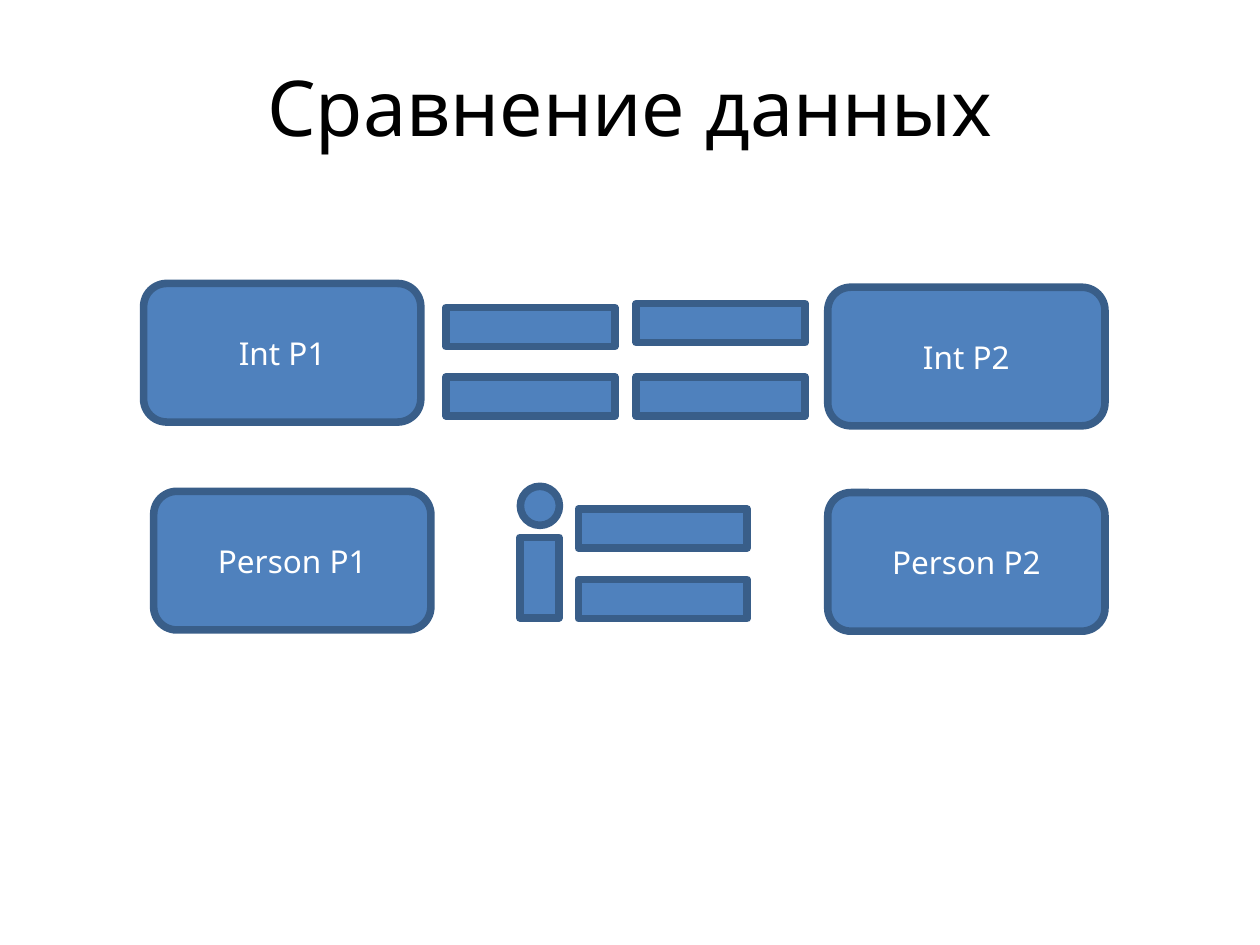
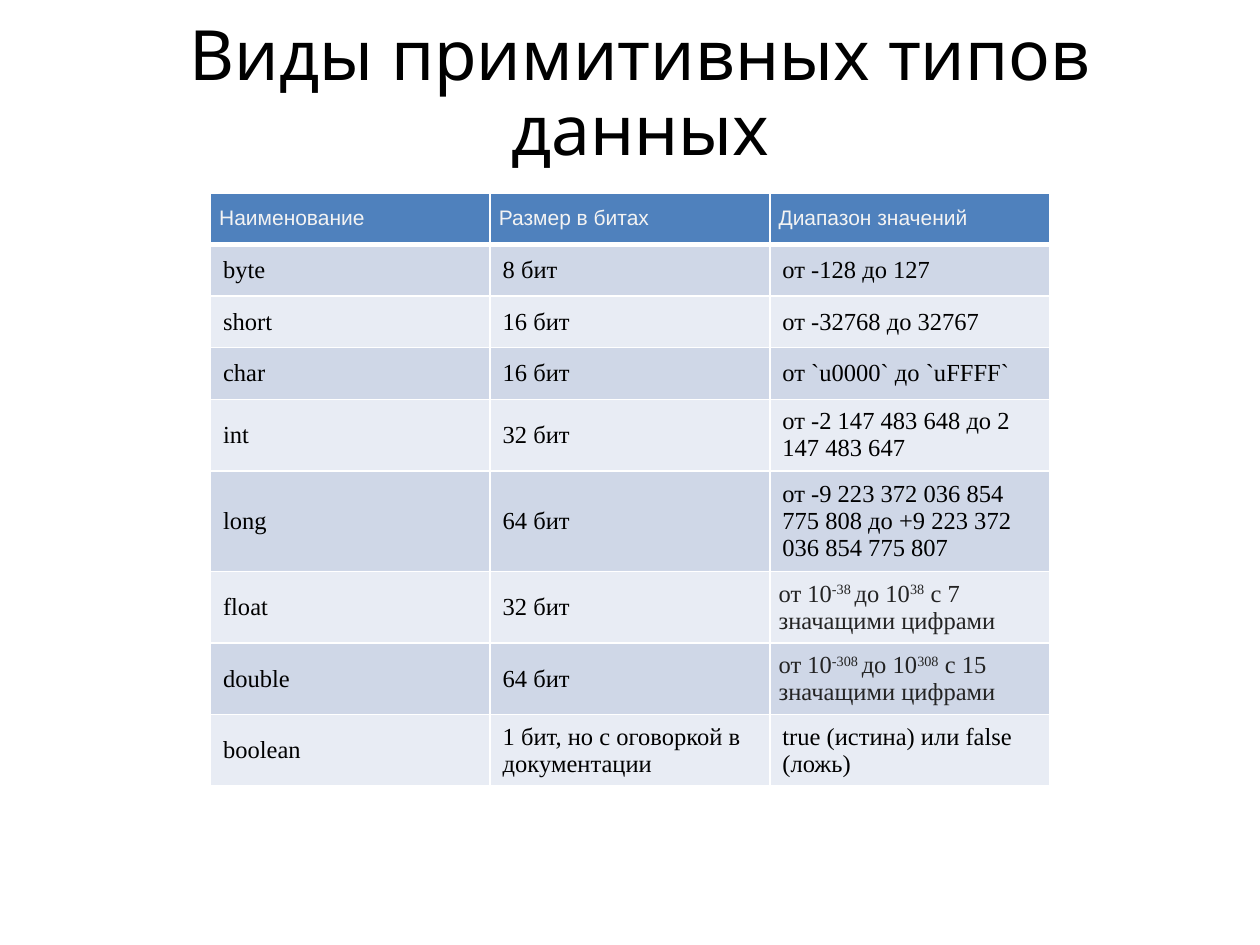
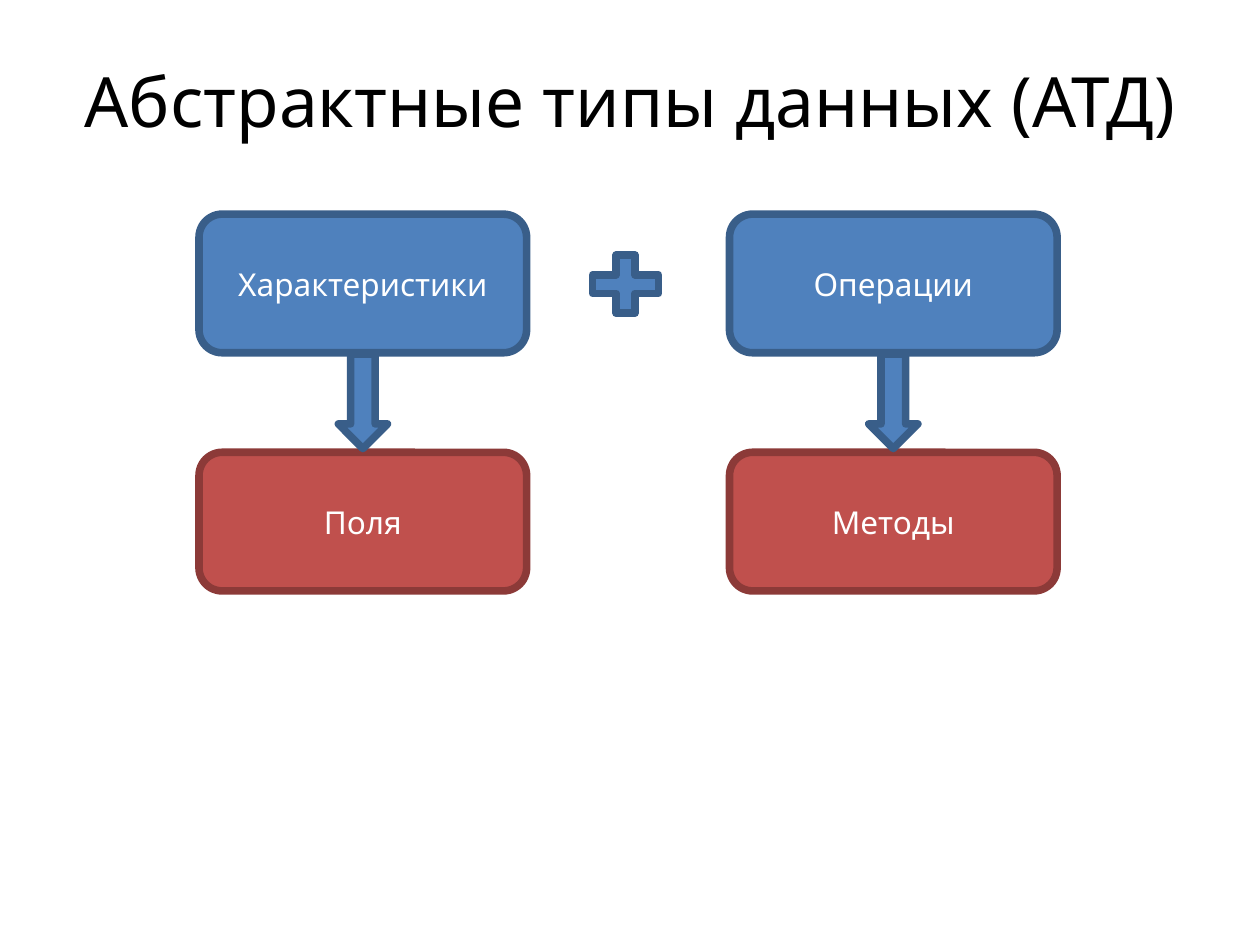
import dataclasses
from typing import Any

import pptx
import pptx.dml.color
import pptx.enum.shapes
import pptx.enum.text
import pptx.oxml
import pptx.oxml.ns
import pptx.util

Inches = pptx.util.Inches
Shape = pptx.enum.shapes.MSO_SHAPE
Align = pptx.enum.text.PP_ALIGN
MIDDLE = pptx.enum.text.MSO_ANCHOR.MIDDLE


@dataclasses.dataclass(frozen=True)
class Theme:
    blue: str = "4F81BD"
    blue_edge: str = "395E89"
    red: str = "C0504D"
    red_edge: str = "8C3A38"
    white: str = "FFFFFF"
    black: str = "000000"
    header_text: str = "F3F3F3"
    formula_text: str = "232323"
    bands: tuple[str, str] = ("CFD7E7", "E8ECF4")
    main_font: str = "Noto Sans"
    header_font: str = "Arial"
    body_font: str = "Times New Roman"
    title_size: float = 44
    small_title_size: float = 39.6
    label_size: float = 18
    header_size: float = 12
    body_size: float = 14
    edge_width: float = 4.33
    rule_width: float = 1
    header_rule_width: float = 3


THEME = Theme()


@dataclasses.dataclass(frozen=True)
class Figure:
    """A preset shape; lengths are in inches."""
    kind: Any
    left: float
    top: float
    width: float
    height: float
    label: str = ""
    fill: str = THEME.blue
    edge: str = THEME.blue_edge
    rotation: float = 0


@dataclasses.dataclass(frozen=True)
class TextStyle:
    font: str
    size: float
    color: str


LABEL = TextStyle(THEME.main_font, THEME.label_size, THEME.white)
TITLE = TextStyle(THEME.main_font, THEME.title_size, THEME.black)
SMALL_TITLE = TextStyle(THEME.main_font, THEME.small_title_size, THEME.black)
HEADER = TextStyle(THEME.header_font, THEME.header_size, THEME.header_text)
BODY = TextStyle(THEME.body_font, THEME.body_size, THEME.black)
FORMULA = TextStyle(THEME.body_font, THEME.body_size, THEME.formula_text)

# Text between carets is superscript.
TYPE_ROWS = [
    ("Наименование", "Размер в битах", "Диапазон значений"),
    ("byte", "8 бит", "от -128 до 127"),
    ("short", "16 бит", "от -32768 до 32767"),
    ("char", "16 бит", "от `u0000` до `uFFFF`"),
    ("int", "32 бит", "от -2 147 483 648 до 2 147 483 647"),
    ("long", "64 бит",
     "от -9 223 372 036 854 775 808 до +9 223 372 036 854 775 807"),
    ("float", "32 бит", "от 10^-38 ^до 10^38^ с 7 значащими цифрами"),
    ("double", "64 бит", "от 10^-308 ^до 10^308^ с 15 значащими цифрами"),
    ("boolean", "1 бит, но с оговоркой в документации",
     "true (истина) или false (ложь)"),
]


def rgb(color: str) -> Any:
    return pptx.dml.color.RGBColor.from_string(color)


def set_values(target: Any, values: dict[str, Any]) -> None:
    for name, value in values.items():
        setattr(target, name, value)


def write(para: Any, text: str, style: TextStyle) -> None:
    """Fill a paragraph, raising the parts between carets."""
    for index, part in enumerate(text.split("^")):
        span = para.add_run()
        span.text = part
        set_values(span.font, {"name": style.font, "bold": False,
                               "size": pptx.util.Pt(style.size)})
        span.font.color.rgb = rgb(style.color)
        if index % 2:
            span.font._element.set("baseline", "30000")


def add_page(deck: Any, title: str, style: TextStyle, left: float = 0.42,
             top: float = 0.21, width: float = 9.16) -> Any:
    page = deck.slides.add_slide(deck.slide_layouts[6])
    box = page.shapes.add_textbox(Inches(left), Inches(top), Inches(width), Inches(1.25))
    set_values(box.text_frame, {"word_wrap": True, "vertical_anchor": MIDDLE})
    para = box.text_frame.paragraphs[0]
    set_values(para, {"alignment": Align.CENTER,
                      "line_spacing": 0.9 if style is SMALL_TITLE else 1.0})
    write(para, title, style)
    return page


def draw(page: Any, figure: Figure) -> None:
    shape = page.shapes.add_shape(figure.kind, Inches(figure.left), Inches(figure.top),
                                  Inches(figure.width), Inches(figure.height))
    shape.rotation = figure.rotation
    shape.shadow.inherit = False
    shape.fill.solid()
    shape.fill.fore_color.rgb = rgb(figure.fill)
    shape.line.color.rgb = rgb(figure.edge)
    shape.line.width = pptx.util.Pt(THEME.edge_width)
    if figure.label:
        para = shape.text_frame.paragraphs[0]
        para.alignment = Align.CENTER
        write(para, figure.label, LABEL)


def set_borders(cell: Any, widths: dict[str, float]) -> None:
    """Draw white cell borders; they must precede the fill in the XML."""
    properties = cell._tc.get_or_add_tcPr()
    for index, (side, width) in enumerate(widths.items()):
        border = pptx.oxml.parse_xml(
            f'<a:ln{side} {pptx.oxml.ns.nsdecls("a")} w="{pptx.util.Pt(width)}">'
            f'<a:solidFill><a:srgbClr val="{THEME.white}"/></a:solidFill></a:ln{side}>')
        properties.insert(index, border)


def fill_cell(cell: Any, row: int, text: str) -> None:
    if row == 0:
        style, fill = HEADER, THEME.blue
    else:
        style = FORMULA if "^" in text else BODY
        fill = THEME.bands[(row - 1) % 2]
    inset = Inches(0.1 if style is BODY else 0.07)
    set_values(cell, {"vertical_anchor": MIDDLE, "margin_left": inset,
                      "margin_right": inset, "margin_top": Inches(0.05),
                      "margin_bottom": Inches(0.05)})
    cell.fill.solid()
    cell.fill.fore_color.rgb = rgb(fill)
    thin, thick = THEME.rule_width, THEME.header_rule_width
    set_borders(cell, {"L": thin, "R": thin, "T": thick if row == 1 else thin,
                       "B": thick if row == 0 else thin})
    write(cell.text_frame.paragraphs[0], text, style)


def add_comparison(deck: Any) -> None:
    page = add_page(deck, "Сравнение данных", TITLE)
    for label, left, top in [("Int P1", 1.14, 2.25), ("Int P2", 6.57, 2.28),
                             ("Person P1", 1.22, 3.9), ("Person P2", 6.57, 3.91)]:
        draw(page, Figure(Shape.ROUNDED_RECTANGLE, left, top, 2.2, 1.1, label))
    equals_bars = [(3.54, 2.44), (3.54, 2.99), (5.05, 2.41), (5.05, 2.99),
                   (4.59, 4.04), (4.59, 4.6)]
    for left, top in equals_bars:
        draw(page, Figure(Shape.RECTANGLE, left, top, 1.34, 0.31))
    draw(page, Figure(Shape.RECTANGLE, 3.96, 4.43, 0.64, 0.31, rotation=90))
    draw(page, Figure(Shape.OVAL, 4.13, 3.86, 0.31, 0.31))


def add_primitive_types(deck: Any) -> None:
    page = add_page(deck, "Виды примитивных типов данных", SMALL_TITLE, 0.58, 0.13, 9)
    columns, column_width, row_height = len(TYPE_ROWS[0]), 2.22, 0.41
    table = page.shapes.add_table(
        len(TYPE_ROWS), columns, Inches(1.67), Inches(1.53),
        Inches(columns * column_width), Inches(len(TYPE_ROWS) * row_height)).table
    set_values(table, {"first_row": False, "horz_banding": False})
    for row, texts in enumerate(TYPE_ROWS):
        for column, text in enumerate(texts):
            fill_cell(table.cell(row, column), row, text)


def add_abstract_types(deck: Any) -> None:
    page = add_page(deck, "Абстрактные типы данных (АТД)", SMALL_TITLE)
    box_width, arrow_width = 2.6, 0.39
    for left, concept, member in [(1.58, "Характеристики", "Поля"),
                                  (5.79, "Операции", "Методы")]:
        draw(page, Figure(Shape.ROUNDED_RECTANGLE, left, 1.7, box_width, 1.1, concept))
        draw(page, Figure(Shape.ROUNDED_RECTANGLE, left, 3.59, box_width, 1.1, member,
                          THEME.red, THEME.red_edge))
        draw(page, Figure(Shape.DOWN_ARROW, left + (box_width - arrow_width) / 2, 2.81,
                          arrow_width, 0.75))
    draw(page, Figure(Shape.MATH_PLUS, 4.61, 1.94, 0.71, 0.63))


def main() -> None:
    deck = pptx.Presentation()
    set_values(deck, {"slide_width": Inches(10), "slide_height": Inches(7.5)})
    add_comparison(deck)
    add_primitive_types(deck)
    add_abstract_types(deck)
    deck.save("out.pptx")


if __name__ == "__main__":
    main()
